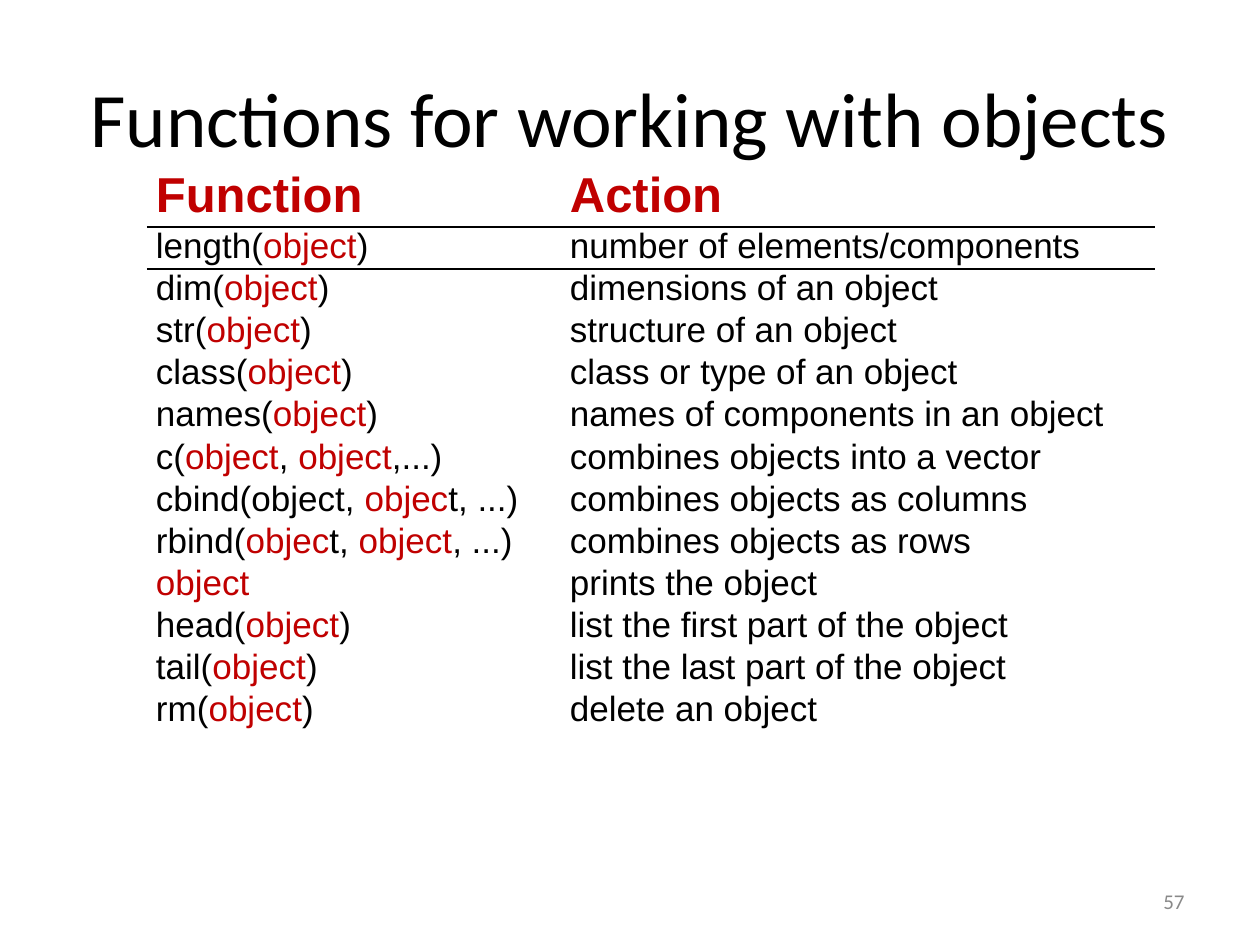
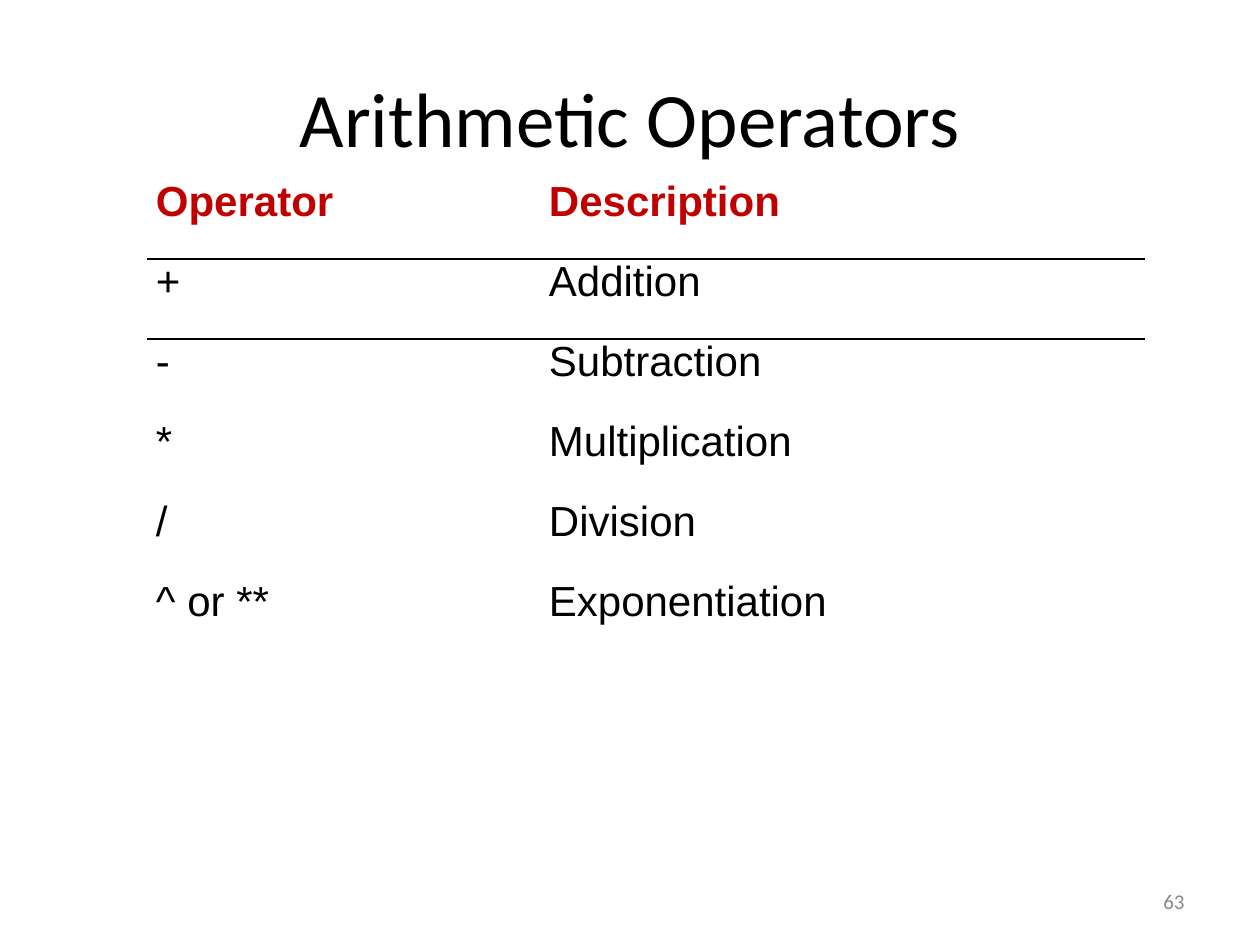
"""Build two slides of reference tables on R functions and operators."""
from lxml.etree import SubElement
from pptx import Presentation
from pptx.dml.color import RGBColor
from pptx.enum.text import MSO_ANCHOR as Anchor, PP_ALIGN as Align
from pptx.oxml.ns import qn
from pptx.util import Emu, Pt

EMU_PER_PX = 914400 / 126
BLACK, RED, GREY = "000000", "C00000", "898989"
TITLE_FONT, TABLE_FONT = "Calibri", "Arial"
NO_TABLE_STYLE = "{2D5ABB26-0587-4C30-8999-92F81FD0307C}"
RULED_EDGES = {0: ["lnB"], 1: ["lnT", "lnB"]}

FUNCTIONS = [
    ("Function", "Action"),
    ("length(|object|)", "number of elements/components"),
    ("dim(|object|)", "dimensions of an object"),
    ("str(|object|)", "structure of an object"),
    ("class(|object|)", "class or type of an object"),
    ("names(|object|)", "names of components in an object"),
    ("c(|object|, |object|,...)", "combines objects into a vector"),
    ("cbind(object, |objec|t, ...)", "combines objects as columns"),
    ("rbind(|objec|t, |object|, ...)", "combines objects as rows"),
    ("|object", "prints the object"),
    ("head(|object|)", "list the first part of the object"),
    ("tail(|object|)", "list the last part of the object"),
    ("rm(|object|)", "delete an object"),
]
OPERATORS = [
    ("Operator", "Description"),
    ("+", "Addition"),
    ("-", "Subtraction"),
    ("*", "Multiplication"),
    ("/", "Division"),
    ("^ or **", "Exponentiation"),
]


def px(length):
    return Emu(round(length * EMU_PER_PX))


def color(value):
    return RGBColor.from_string(value)


def style_span(span, font, size, fill, bold=False):
    span.font.name = font
    span.font.size = Pt(size)
    span.font.bold = bold
    span.font.color.rgb = color(fill)


def add_text(slide, text, bounds, size, fill, align):
    box = slide.shapes.add_textbox(*map(px, bounds))
    frame = box.text_frame
    frame.text = text
    frame.word_wrap = True
    frame.vertical_anchor = Anchor.MIDDLE
    para = frame.paragraphs[0]
    para.alignment = align
    style_span(para.runs[0], TITLE_FONT, size, fill)


def add_slide(deck, title, number):
    slide = deck.slides.add_slide(deck.slide_layouts[6])
    add_text(slide, title, (63, 38, 1134, 157), 44, BLACK, Align.CENTER)
    add_text(slide, number, (903, 876, 294, 50), 12, GREY, Align.RIGHT)
    return slide


def rule_cell(cell, edges):
    properties = cell._tc.get_or_add_tcPr()
    for edge in edges:
        line = SubElement(properties, qn(f"a:{edge}"), w=str(Pt(1)))
        solid = SubElement(line, qn("a:solidFill"))
        SubElement(solid, qn("a:srgbClr"), val=BLACK)


def fill_cell(cell, text, size, is_header):
    cell.margin_left = cell.margin_right = px(9)
    cell.margin_top = cell.margin_bottom = 0
    cell.fill.background()
    para = cell.text_frame.paragraphs[0]
    for index, piece in enumerate(text.split("|")):
        if piece:
            span = para.add_run()
            span.text = piece
            fill = RED if is_header or index % 2 else BLACK
            style_span(span, TABLE_FONT, size, fill, is_header)
    return para


def add_reference_table(slide, rows, top, widths, heights, sizes, header_space=0):
    """Add a two-column table; each pair gives the header value, then the body value."""
    header_height, body_height = heights
    total = header_height + body_height * (len(rows) - 1)
    frame = slide.shapes.add_table(
        len(rows), len(widths), px(147), px(top), px(sum(widths)), px(total))
    table = frame.table
    table.first_row = table.horz_banding = False
    table._tbl.tblPr.find(qn("a:tableStyleId")).text = NO_TABLE_STYLE
    for column, width in zip(table.columns, widths):
        column.width = px(width)
    for row_index, texts in enumerate(rows):
        is_header = row_index == 0
        table.rows[row_index].height = px(header_height if is_header else body_height)
        for cell, text in zip(table.rows[row_index].cells, texts):
            rule_cell(cell, RULED_EDGES.get(row_index, []))
            para = fill_cell(cell, text, sizes[0 if is_header else 1], is_header)
            if is_header:
                para.space_before = Pt(header_space)


def main():
    deck = Presentation()
    deck.slide_width, deck.slide_height = px(1260), px(945)
    slide = add_slide(deck, "Functions for working with objects", "57")
    add_reference_table(slide, FUNCTIONS, 168, (414, 594), (59, 42), (28, 20), 6)
    slide = add_slide(deck, "Arithmetic Operators", "63")
    add_reference_table(slide, OPERATORS, 179, (393, 605), (80, 80), (24, 24))
    deck.save("out.pptx")


if __name__ == "__main__":
    main()
